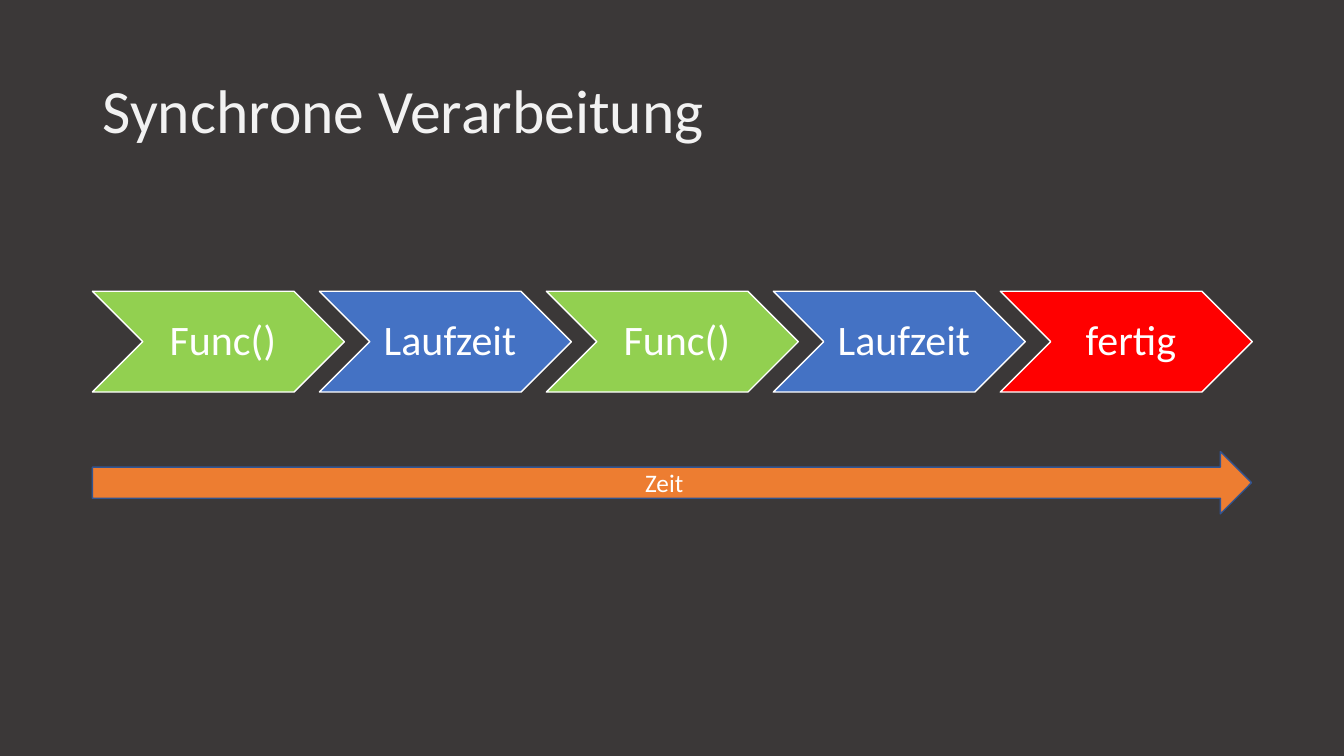
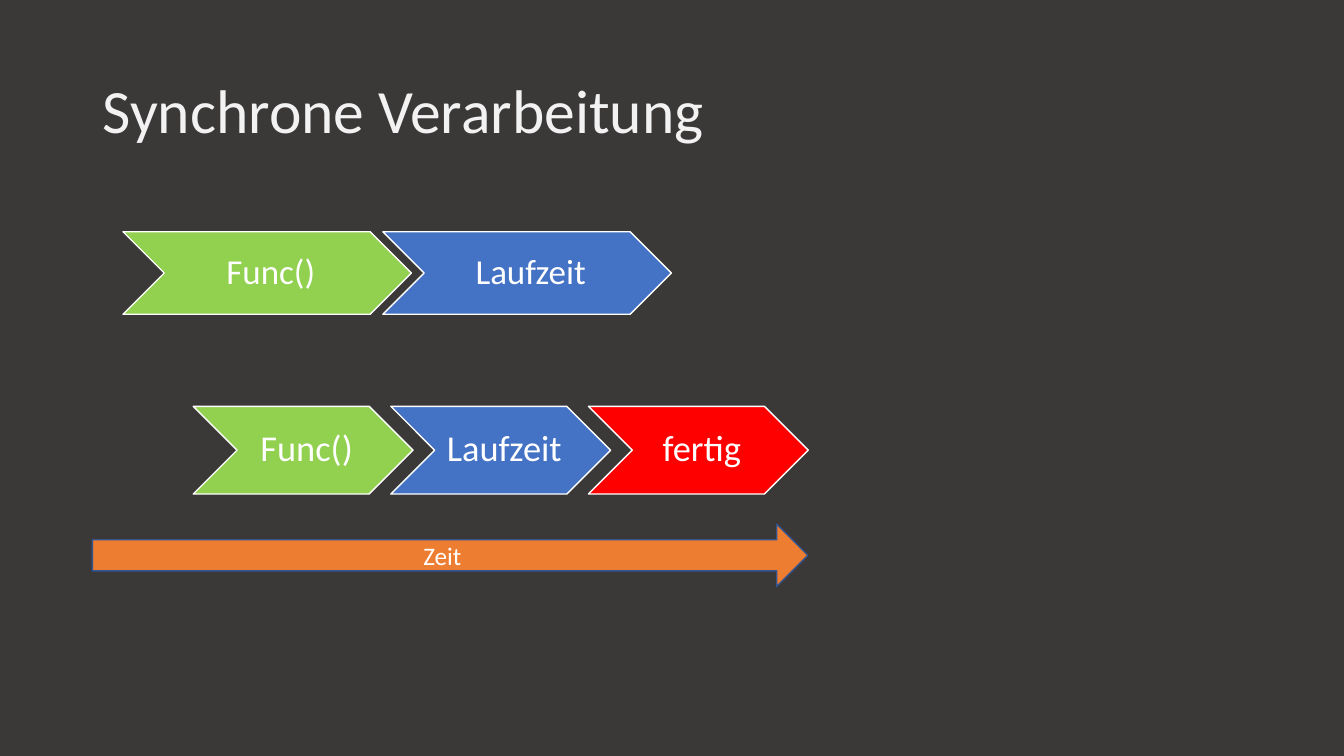
import pptx
import pptx.util
import pptx.dml.color
import pptx.enum.shapes
import pptx.enum.text

Cm, Pt = pptx.util.Cm, pptx.util.Pt
SHAPE = pptx.enum.shapes.MSO_SHAPE
ALIGN = pptx.enum.text.PP_ALIGN
MIDDLE = pptx.enum.text.MSO_ANCHOR.MIDDLE

COLORS = {
    "background": "3B3838", "title": "F2F2F2", "white": "FFFFFF",
    "green": "92D050", "blue": "4472C4", "red": "FF0000",
    "orange": "ED7D31", "arrow line": "325491",
}
STEP_FILLS = {"Func()": "green", "Laufzeit": "blue", "fertig": "red"}
FONT = "Calibri"
MARGIN = 2.33

# Chevron rows: left, top, width, height, pitch (cm), text size, left inset, steps
# Time arrow: top, width (cm)
SLIDES = [
    {"rows": [(MARGIN, 7.34, 6.35, 2.54, 5.72, 30, 0.33,
               ["Func()", "Laufzeit", "Func()", "Laufzeit", "fertig"])],
     "arrow": (11.38, 29.21)},
    {"rows": [(3.1, 5.84, 7.27, 2.08, 6.55, 25, 0.28, ["Func()", "Laufzeit"]),
              (4.87, 10.24, 5.54, 2.21, 4.98, 26, 0.28,
               ["Func()", "Laufzeit", "fertig"])],
     "arrow": (13.21, 18.03)},
]


def rgb(name):
    return pptx.dml.color.RGBColor.from_string(COLORS[name])


def add_block(s, kind, box, text, size, fill, line):
    sp = s.shapes.add_shape(kind, *[Cm(v) for v in box])
    sp.shadow.inherit = False
    sp.fill.solid()
    sp.fill.fore_color.rgb = rgb(fill)
    sp.line.color.rgb = rgb(line)
    sp.line.width = Pt(1)
    tf = sp.text_frame
    tf.text = text
    tf.word_wrap = False
    tf.vertical_anchor = MIDDLE
    p = tf.paragraphs[0]
    p.alignment = ALIGN.CENTER
    r = p.runs[0]
    r.font.name = FONT
    r.font.size = Pt(size)
    r.font.color.rgb = rgb("white")
    return sp


prs = pptx.Presentation()
prs.slide_width, prs.slide_height = Cm(33.87), Cm(19.05)

# Shared background and title position
bg = prs.slide_master.background.fill
bg.solid()
bg.fore_color.rgb = rgb("background")
layout = prs.slide_layouts[5]
title = layout.placeholders[0]
title.left, title.top, title.width, title.height = [
    Cm(v) for v in (MARGIN, 1.01, 29.21, 3.68)]

for content in SLIDES:
    s = prs.slides.add_slide(layout)

    # Title
    tf = s.shapes.title.text_frame
    tf.text = "Synchrone Verarbeitung"
    tf.vertical_anchor = MIDDLE
    p = tf.paragraphs[0]
    p.alignment = ALIGN.LEFT
    p.line_spacing = 0.9
    r = p.runs[0]
    r.font.name = FONT
    r.font.size = Pt(44)
    r.font.color.rgb = rgb("title")

    # Process steps
    for left, top, width, height, pitch, size, inset, steps in content["rows"]:
        for i, step in enumerate(steps):
            sp = add_block(s, SHAPE.CHEVRON, (left + i * pitch, top, width, height),
                           step, size, STEP_FILLS[step], "white")
            tf = sp.text_frame
            tf.margin_left = Cm(inset)
            tf.margin_top = tf.margin_right = tf.margin_bottom = Cm(0.1)
            tf.paragraphs[0].line_spacing = 0.9

    # Time axis
    top, width = content["arrow"]
    add_block(s, SHAPE.RIGHT_ARROW, (MARGIN, top, width, 1.57),
              "Zeit", 18, "orange", "arrow line")

prs.save("out.pptx")
